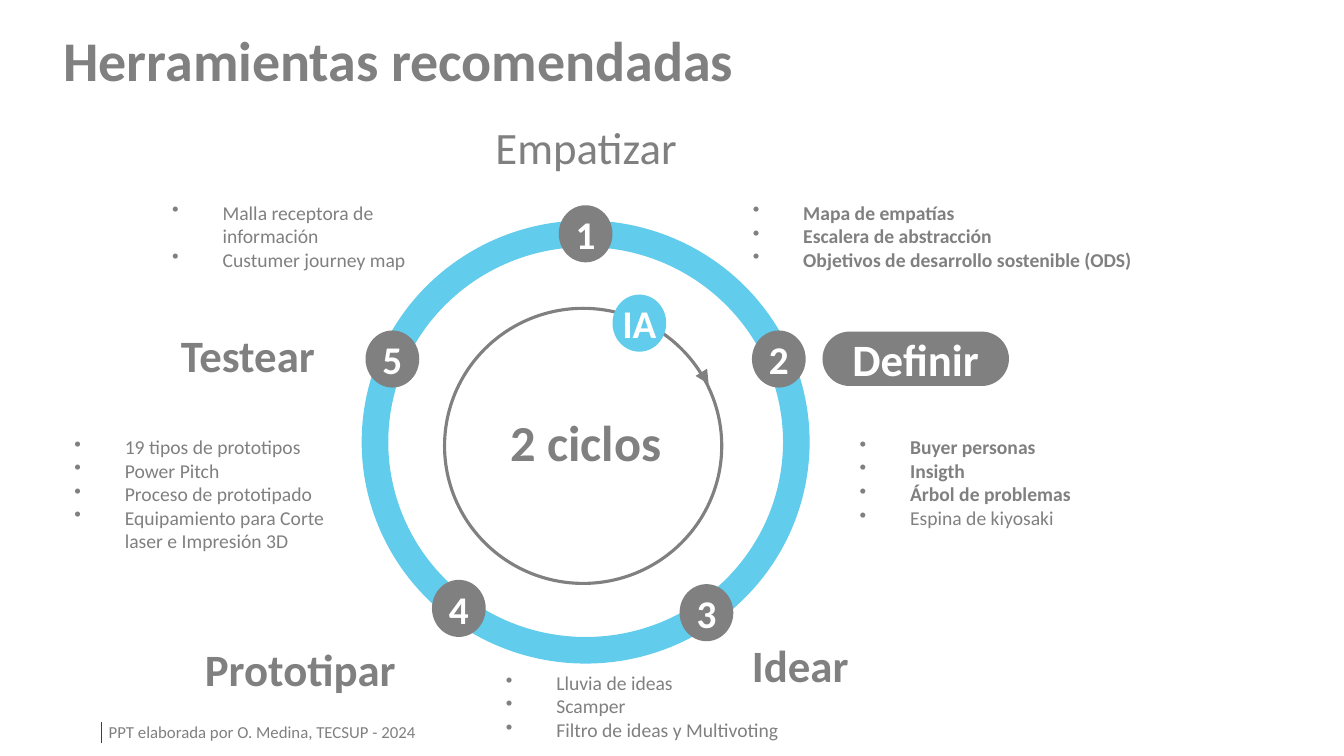
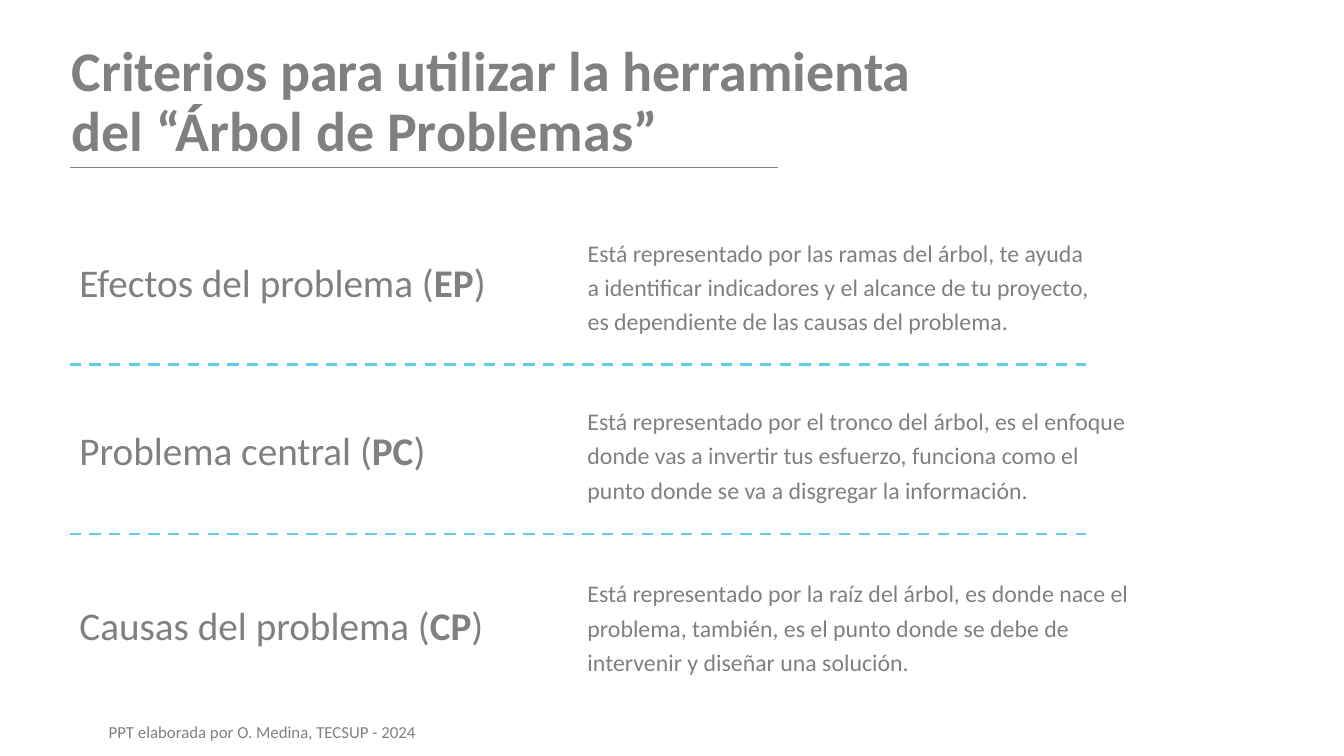
from dataclasses import dataclass
from math import cos, radians, sin

from lxml import etree
from pptx import Presentation
from pptx import util as u
from pptx.dml.color import RGBColor
from pptx.enum import dml, shapes, text
from pptx.oxml.ns import qn


@dataclass(frozen=True)
class Theme:
    face: str = "Calibri"
    gray: str = "808080"
    blue: str = "61CCEC"
    white: str = "FFFFFF"
    dark: str = "404040"
    title: int = 40
    hub: int = 36
    stage: int = 32
    term: int = 28
    body: int = 17
    tool: int = 14
    foot: int = 12


look = Theme()
Kind, Align, Anchor = shapes.MSO_SHAPE, text.PP_ALIGN, text.MSO_ANCHOR
color = RGBColor.from_string

deck = Presentation()
deck.slide_width, deck.slide_height = u.Inches(13.33), u.Inches(7.5)
cell = deck.slide_width / 40  # square grid: 40 columns by 22.5 rows


def put(slide, area, kind=None, fill=None, line=None, width=0):
    """Add a text box, or a preset shape if kind is given; area is in cells."""
    spot = [round(n * cell) for n in area]
    if kind is None:
        return slide.shapes.add_textbox(*spot)
    shape = slide.shapes.add_shape(kind, *spot)
    shape.shadow.inherit = False
    if fill:
        shape.fill.solid()
        shape.fill.fore_color.rgb = color(fill)
    else:
        shape.fill.background()
    if line:
        shape.line.color.rgb = color(line)
        shape.line.width = u.Pt(width)
    else:
        shape.line.fill.background()
    return shape


def say(shape, lines, size, tint=look.gray, bold=False, align=Align.LEFT,
        anchor=Anchor.TOP, lead=1.0, bullet=False):
    """Write one paragraph per line; words between asterisks are bold."""
    frame = shape.text_frame
    frame.word_wrap = True
    frame.auto_size = text.MSO_AUTO_SIZE.NONE
    frame.vertical_anchor = anchor
    for i, line in enumerate(lines):
        para = frame.add_paragraph() if i else frame.paragraphs[0]
        for j, part in enumerate(line.split("*")):
            run = para.add_run()
            run.text = part
            if j % 2:
                run.font.bold = True
        para.alignment, para.line_spacing = align, lead
        para.space_before = u.Pt(0)
        props = para._p.get_or_add_pPr()
        inset = u.Inches(0.5) if bullet else 0
        props.set("marL", str(inset))
        props.set("indent", str(-inset))
        if bullet:
            etree.SubElement(props, qn("a:buChar")).set("char", "•")
        else:
            etree.SubElement(props, qn("a:buNone"))
        font = para.font
        font.name, font.size, font.bold = look.face, u.Pt(size), bold
        font.color.rgb = color(tint)


# Slides with their titles and footers
pages = [
    (5, "Herramientas recomendadas", (1.59, 0.27, 26.28, 3.24)),
    (1, "Criterios para utilizar la herramienta del “Árbol de Problemas”",
     (1.83, 0.9, 26.07, 4.35)),
]
for form, name, area in pages:
    slide = deck.slides.add_slide(deck.slide_layouts[form])
    head = slide.shapes.title
    head.left, head.top, head.width, head.height = [round(n * cell) for n in area]
    say(head, [name], look.title, bold=True, anchor=Anchor.MIDDLE, lead=0.9)
    say(put(slide, (2.94, 21.33, 10.5, 0.9)),
        ["PPT elaborada por O. Medina, TECSUP - 2024"], look.foot)
tools, tree = deck.slides

# Cycle: two rings with numbered stops on the outer one
midx, midy, radx, rady = 17.43, 13.16, 6.27, 6.2
put(tools, (13.23, 9.18, 8.25, 8.19), Kind.OVAL, line=look.gray, width=2.25)
put(tools, (midx - radx, midy - rady, 2 * radx, 2 * rady), Kind.OVAL,
    line=look.blue, width=19)
dotw, doth = 1.6, 1.7
dots = [(str(i), midx + radx * cos(radians(turn)), midy + rady * sin(radians(turn)),
         look.gray)
        for i, turn in enumerate((-90, -23.5, 55, 127, 203.5), 1)]
dots.append(("IA", 19.03, 9.62, look.blue))
for mark, x, y, fill in dots:
    dot = put(tools, (x - dotw / 2, y - doth / 2, dotw, doth), Kind.OVAL, fill)
    frame = dot.text_frame
    frame.margin_left = frame.margin_right = 0
    frame.margin_top = frame.margin_bottom = 0
    say(dot, [mark], look.term, look.white, True, Align.CENTER, Anchor.MIDDLE)

# Stage names
stages = [
    ("Empatizar", (13.86, 3.42, 7.17, 1.92), look.stage, False),
    ("Idear", (20.04, 18.84, 7.56, 1.92), look.stage, True),
    ("Prototipar", (5.16, 18.96, 7.56, 1.92), look.stage, True),
    ("Testear", (3.6, 9.6, 7.56, 1.92), look.stage, True),
    ("2 ciclos", (11.55, 12.09, 11.79, 2.13), look.hub, True),
]
for name, area, size, bold in stages:
    say(put(tools, area), [name], size, bold=bold, align=Align.CENTER)
pill = put(tools, (24.48, 9.87, 5.55, 1.62), Kind.ROUNDED_RECTANGLE, look.gray)
pill.adjustments[0] = 0.5
say(pill, ["Definir"], look.stage, look.white, True, Align.CENTER, Anchor.MIDDLE)

# Tools of each stage: left, top, width, lines
kits = [
    (22.11, 5.82, 12.54, True, ["Mapa de empatías", "Escalera de abstracción",
                                "Objetivos de desarrollo sostenible (ODS)"]),
    (25.29, 12.8, 8.13, True, ["Buyer personas", "Insigth", "Árbol de problemas"]),
    (25.29, 14.92, 8.13, False, ["Espina de kiyosaki"]),
    (14.76, 19.82, 9.15, False, ["Lluvia de ideas", "Scamper",
                                 "Filtro de ideas y Multivoting"]),
    (1.92, 12.8, 8.4, False, ["19 tipos de prototipos", "Power Pitch",
                              "Proceso de prototipado",
                              "Equipamiento para Corte laser e Impresión 3D"]),
    (4.83, 5.82, 8.4, False, ["Malla receptora de información",
                              "Custumer journey map"]),
]
for x, y, wide, bold, lines in kits:
    say(put(tools, (x, y, wide, 0.75 * len(lines))), lines, look.tool,
        bold=bold, bullet=True)

# Criteria: term on the left, meaning on the right
rows = [
    (7.56, 6.78, 15.84, "Efectos del problema (*EP*)",
     "Está representado por las ramas del árbol, te ayuda a identificar indicadores "
     "y el alcance de tu proyecto, es dependiente de las causas del problema."),
    (12.54, 11.79, 16.8, "Problema central (*PC*)",
     "Está representado por el tronco del árbol, es el enfoque donde vas a invertir "
     "tus esfuerzo, funciona como el punto donde se va a disgregar la información."),
    (17.76, 16.92, 16.8, "Causas del problema (*CP*)",
     "Está representado por la raíz del árbol, es donde nace el problema, también, "
     "es el punto donde se debe de intervenir y diseñar una solución."),
]
for i, (high, low, wide, term, note) in enumerate(rows):
    say(put(tree, (2.07, high, 15, 1.86)), [term], look.term,
        anchor=Anchor.MIDDLE, lead=0.9)
    area = (17.19, low, wide, 3.36)
    if i:
        body = put(tree, area)
    else:
        body = tree.placeholders[1]
        body.left, body.top, body.width, body.height = [round(n * cell) for n in area]
    say(body, [note], look.body, lead=1.2)

# Lines: ends in cells, colour, width, dashed, arrowhead
lines = [
    (tools, (3.03, 21.48, 3.03, 22.11), look.dark, 1, False, False),
    (tools, (20.94, 11.19, 21.09, 11.43), look.gray, 3.25, False, True),
    (tree, (2.07, 4.98, 23.16, 4.98), look.gray, 1, False, False),
    (tree, (2.07, 10.86, 32.31, 10.86), look.blue, 2, True, False),
    (tree, (2.07, 15.9, 32.31, 15.9), look.blue, 2, True, False),
]
for slide, ends, tint, width, dash, arrow in lines:
    rule = slide.shapes.add_connector(shapes.MSO_CONNECTOR.STRAIGHT,
                                      *[round(n * cell) for n in ends])
    rule.line.color.rgb = color(tint)
    rule.line.width = u.Pt(width)
    if dash:
        rule.line.dash_style = dml.MSO_LINE.DASH
    if arrow:
        etree.SubElement(rule.line._get_or_add_ln(), qn("a:tailEnd")).set(
            "type", "triangle")
    etree.SubElement(rule._element.spPr, qn("a:effectLst"))

deck.save("out.pptx")
